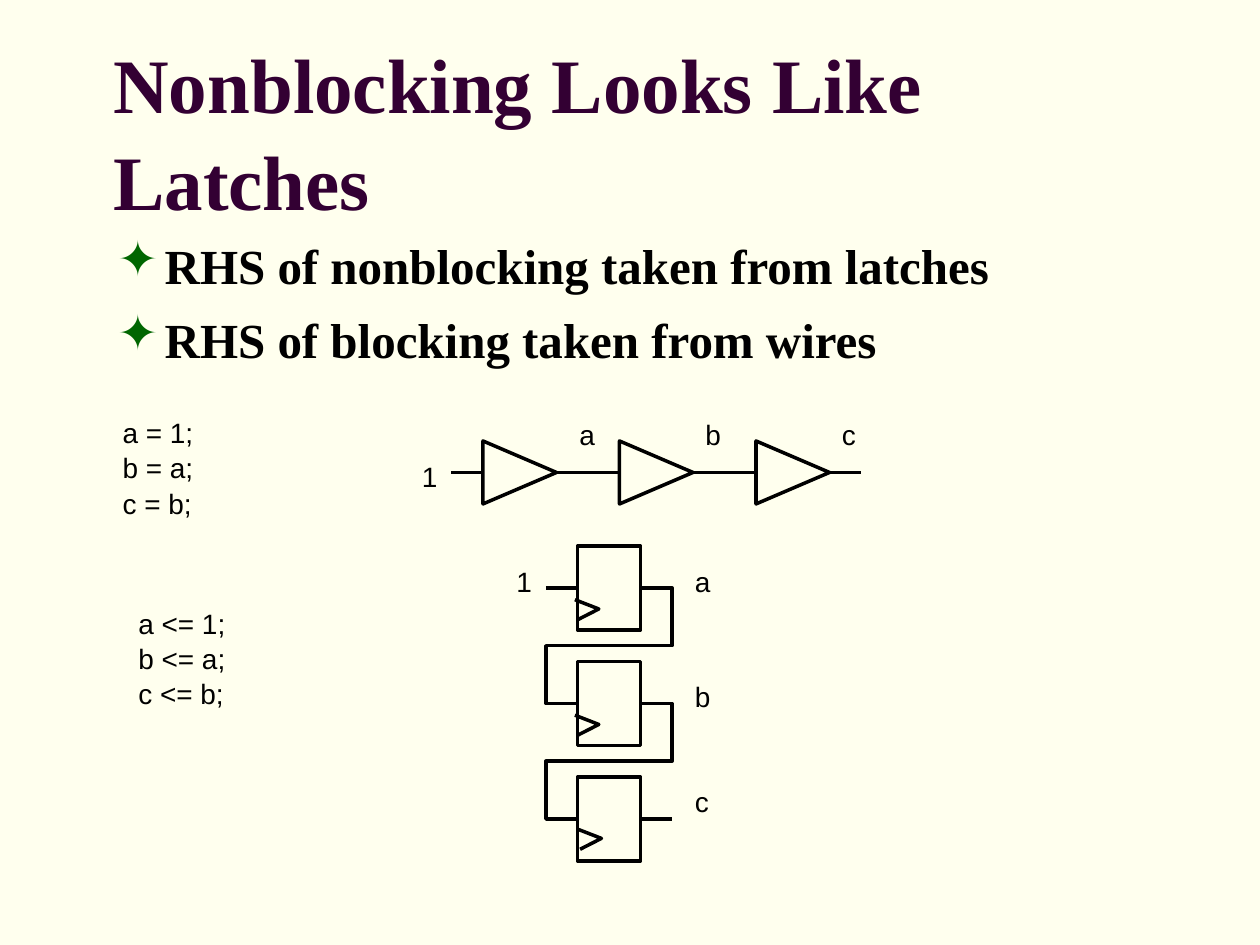
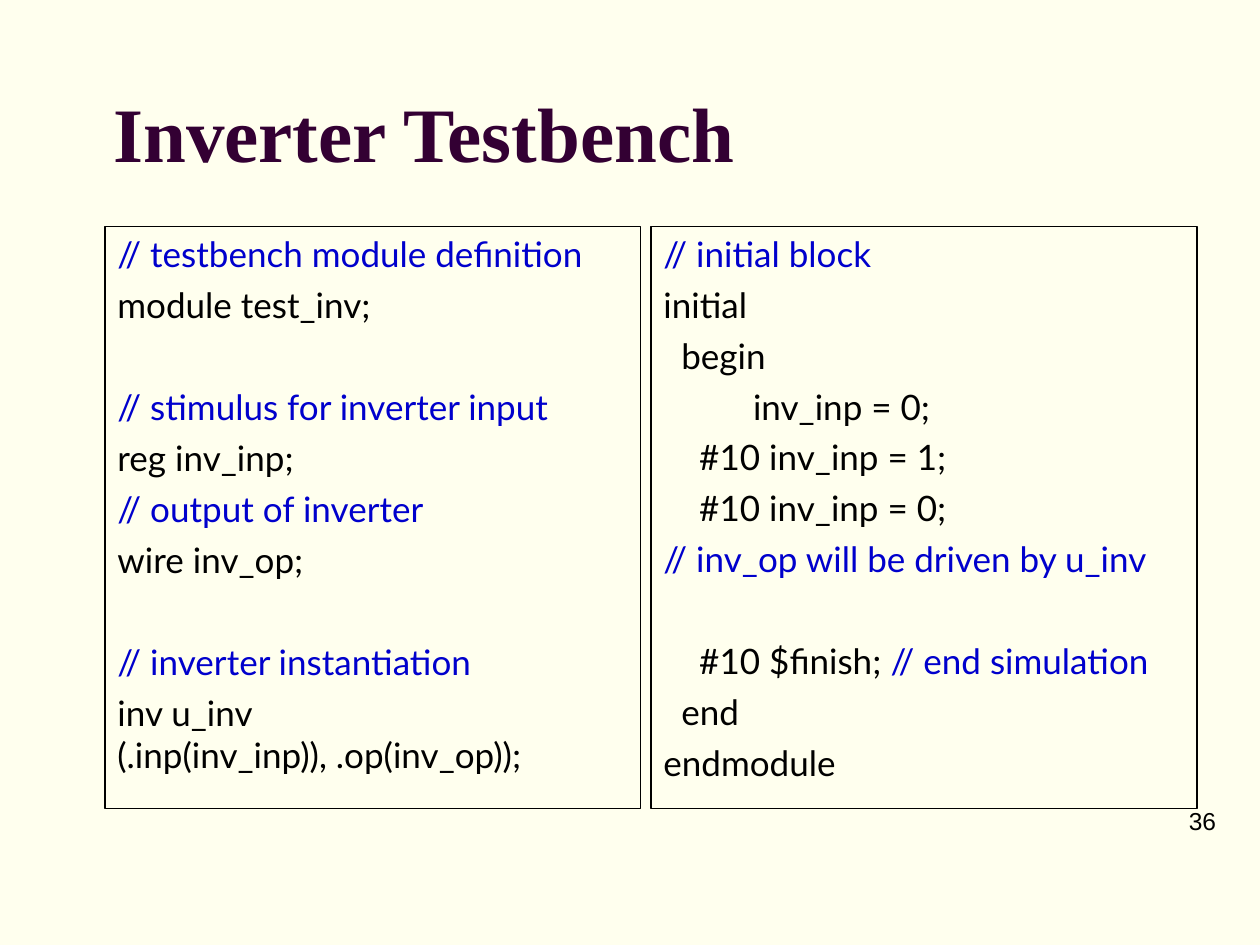
"""Build two Verilog slides: nonblocking assignments and an inverter testbench."""
import pptx
import pptx.dml.color
import pptx.enum.shapes
import pptx.enum.text
import pptx.util
from lxml import etree

Pt = pptx.util.Pt
SHAPE = pptx.enum.shapes.MSO_SHAPE
LINK = pptx.enum.shapes.MSO_CONNECTOR
ALIGN = pptx.enum.text.PP_ALIGN
ANCHOR = pptx.enum.text.MSO_ANCHOR
NS = "http://schemas.openxmlformats.org/drawingml/2006/main"

COLORS = {"paper": "FFFFEE", "title": "330033", "ink": "000000",
          "bullet": "006600", "comment": "0000CC"}
SERIF, SANS, CODE = "Times New Roman", "Arial", "Lato"

LATCH_TITLE = "Nonblocking Looks Like Latches"
RULES = ["RHS of nonblocking taken from latches",
         "RHS of blocking taken from wires"]
ASSIGNMENTS = [
    (63, 233, ["a = 1;", "b = a;", "c = b;"]),
    (72, 342, ["a <= 1;", "b <= a;", "c <= b;"]),
]
SIGNALS = [
    ("1", 234, 258), ("a", 324, 234), ("b", 396, 234), ("c", 474, 234),
    ("1", 288, 318), ("a", 390, 318), ("b", 390, 384), ("c", 390, 444),
]
CLOCK_OFFSETS = [(-1.5, 30.7), (-1.5, 30.7), (0, 29.8)]
CLOCK_MARK = [(0, 0), (13.7, 5.3), (1.5, 11.5)]

TESTBENCH_TITLE = "Inverter Testbench"
PAGE_NUMBER = "36"
PANELS = [
    (372, 312, [
        ["// initial block", "initial", "  begin", "          inv_inp = 0;",
         "    #10 inv_inp = 1;", "    #10 inv_inp = 0;",
         "// inv_op will be driven by u_inv"],
        ["    #10 $finish; // end simulation", "  end", "endmodule"],
    ]),
    (60, 306, [
        ["// testbench module definition", "module test_inv;"],
        ["// stimulus for inverter input", "reg inv_inp;",
         "// output of inverter", "wire inv_op;"],
        ["// inverter instantiation",
         "inv u_inv (.inp(inv_inp)), .op(inv_op));"],
    ]),
]
LINE_GAP, BLOCK_GAP = 5, 34.4


def rgb(name):
    return pptx.dml.color.RGBColor.from_string(COLORS[name])


def points(*lengths):
    return [Pt(length) for length in lengths]


def add_run(paragraph, text, size, face, color="ink", bold=False):
    run = paragraph.add_run()
    run.text = text
    run.font.size, run.font.name, run.font.bold = Pt(size), face, bold
    run.font.color.rgb = rgb(color)


def paragraphs(frame, count):
    frame.word_wrap = True
    return [frame.paragraphs[0]] + [frame.add_paragraph() for _ in range(count - 1)]


def add_text(slide, box, lines, size=16, face=SANS, align=ALIGN.LEFT):
    frame = slide.shapes.add_textbox(*points(*box)).text_frame
    for paragraph, line in zip(paragraphs(frame, len(lines)), lines):
        paragraph.alignment, paragraph.line_spacing = align, 1.05
        add_run(paragraph, line, size, face)


def add_slide(deck, title):
    slide = deck.slides.add_slide(deck.slide_layouts[5])
    heading = slide.shapes.title
    heading.left, heading.top, heading.width, heading.height = points(57.6, 39.6, 606, 68.4)
    frame = heading.text_frame
    frame.auto_size = pptx.enum.text.MSO_AUTO_SIZE.NONE
    frame.vertical_anchor = ANCHOR.MIDDLE
    paragraph = frame.paragraphs[0]
    paragraph.alignment, paragraph.line_spacing = ALIGN.LEFT, 1.05
    add_run(paragraph, title, 44, SERIF, "title", True)
    return slide


def outline(part, weight=2):
    part.shadow.inherit = False
    part.fill.background()
    part.line.color.rgb = rgb("ink")
    part.line.width = Pt(weight)
    return part


def add_wire(slide, start, end, kind=LINK.STRAIGHT):
    wire = slide.shapes.add_connector(kind, *points(*start, *end))
    wire.line.color.rgb = rgb("ink")
    wire.line.width = Pt(2)
    etree.SubElement(wire._element.spPr, f"{{{NS}}}effectLst")
    return wire


def add_feedback(slide, start, end):
    wire = add_wire(slide, start, end, LINK.ELBOW)
    geometry = wire._element.spPr.find(f"{{{NS}}}prstGeom")
    geometry.set("prst", "bentConnector5")
    guides = geometry.find(f"{{{NS}}}avLst")
    for number, value in enumerate((-44700, 50000, 144700), 1):
        etree.SubElement(guides, f"{{{NS}}}gd", name=f"adj{number}", fmla=f"val {value}")


def add_rules(slide):
    frame = slide.shapes.add_textbox(*points(60, 129.6, 630, 100)).text_frame
    for index, (paragraph, rule) in enumerate(zip(paragraphs(frame, len(RULES)), RULES)):
        properties = paragraph._p.get_or_add_pPr()
        properties.set("marL", str(Pt(27)))
        properties.set("indent", str(-Pt(27)))
        tint = etree.SubElement(properties, f"{{{NS}}}buClr")
        etree.SubElement(tint, f"{{{NS}}}srgbClr", val=COLORS["bullet"])
        etree.SubElement(properties, f"{{{NS}}}buChar", char="✦")
        paragraph.line_spacing = 1.05
        paragraph.space_before = Pt(7 if index else 0)
        add_run(paragraph, rule, 28, SERIF, bold=True)


def add_buffer_chain(slide):
    middle, height, length, step, first = 270, 36, 42, 78, 297
    centers = [first + step * index for index in range(3)]
    for center in centers:
        buffer = outline(slide.shapes.add_shape(
            SHAPE.ISOSCELES_TRIANGLE,
            *points(center - height / 2, middle - length / 2, height, length)))
        buffer.rotation = 90
    starts = [258] + [center + length / 2 for center in centers]
    ends = [center - length / 2 for center in centers] + [492]
    for start, end in zip(starts, ends):
        add_wire(slide, (start, middle), (end, middle))


def add_register_chain(slide):
    left, top, width, height, step, lead = 330, 312, 36, 48, 66, 18
    right = left + width
    registers = []
    for index, (dx, dy) in enumerate(CLOCK_OFFSETS):
        y = top + step * index
        registers.append(outline(slide.shapes.add_shape(
            SHAPE.RECTANGLE, *points(left, y, width, height))))
        mark = [points(left + dx + x, y + dy + down) for x, down in CLOCK_MARK]
        path = slide.shapes.build_freeform(*mark[0])
        path.add_line_segments(mark[1:], close=False)
        outline(path.convert_to_shape())
    middles = [top + height / 2 + step * index for index in range(3)]
    for upper, lower in zip(middles, middles[1:]):
        add_feedback(slide, (right + 1, upper), (left - 1, lower))
    source = add_wire(slide, (left - lead, middles[0]), (left, middles[0]))
    source.end_connect(registers[0], 1)
    output = add_wire(slide, (right, middles[-1]), (right + lead, middles[-1]))
    output.begin_connect(registers[-1], 3)


def add_code_panel(slide, left, width, blocks):
    panel = outline(slide.shapes.add_shape(
        SHAPE.RECTANGLE, *points(left, 129.6, width, 332.4)), 0.75)
    frame = panel.text_frame
    frame.vertical_anchor = ANCHOR.TOP
    lines = [(line, LINE_GAP if index else BLOCK_GAP)
             for block in blocks for index, line in enumerate(block)]
    for index, (paragraph, (line, gap)) in enumerate(zip(paragraphs(frame, len(lines)), lines)):
        paragraph.alignment = ALIGN.LEFT
        paragraph.space_before = Pt(gap if index else 0)
        statement, slashes, remark = line.partition("//")
        for text, color in ((statement, "ink"), (slashes + remark, "comment")):
            if text:
                add_run(paragraph, text, 20, CODE, color)


def main():
    deck = pptx.Presentation()
    deck.slide_width, deck.slide_height = points(720, 540)
    backdrop = deck.slide_master.background.fill
    backdrop.solid()
    backdrop.fore_color.rgb = rgb("paper")

    latches = add_slide(deck, LATCH_TITLE)
    add_rules(latches)
    for left, top, code in ASSIGNMENTS:
        add_text(latches, (left, top, 90, 65), code)
    add_buffer_chain(latches)
    add_register_chain(latches)
    for signal, left, top in SIGNALS:
        add_text(latches, (left, top, 30, 26.6), [signal])

    testbench = add_slide(deck, TESTBENCH_TITLE)
    add_text(testbench, (534, 456, 168, 37.4), [PAGE_NUMBER], 14, align=ALIGN.RIGHT)
    for left, width, blocks in PANELS:
        add_code_panel(testbench, left, width, blocks)
    deck.save("out.pptx")


if __name__ == "__main__":
    main()
